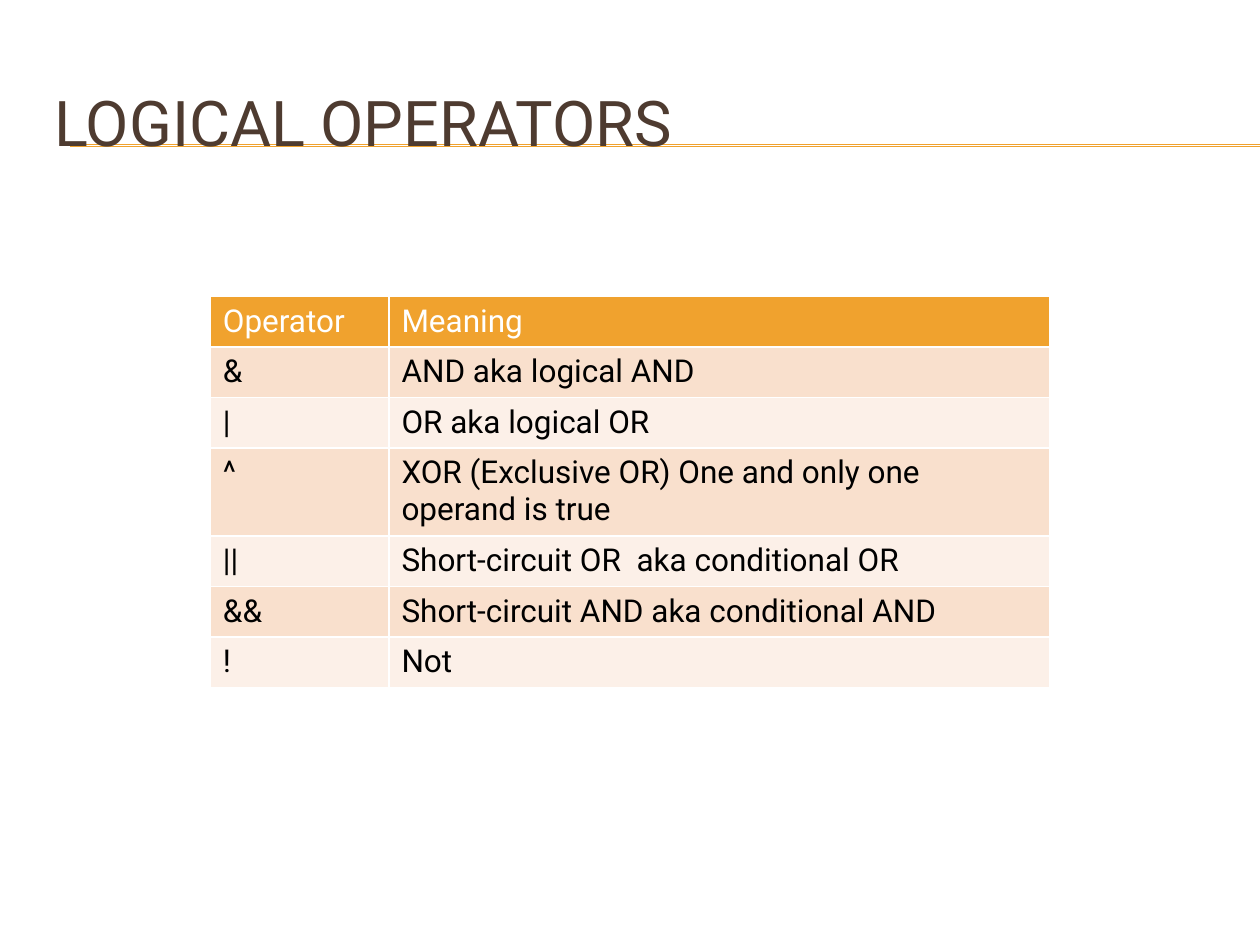
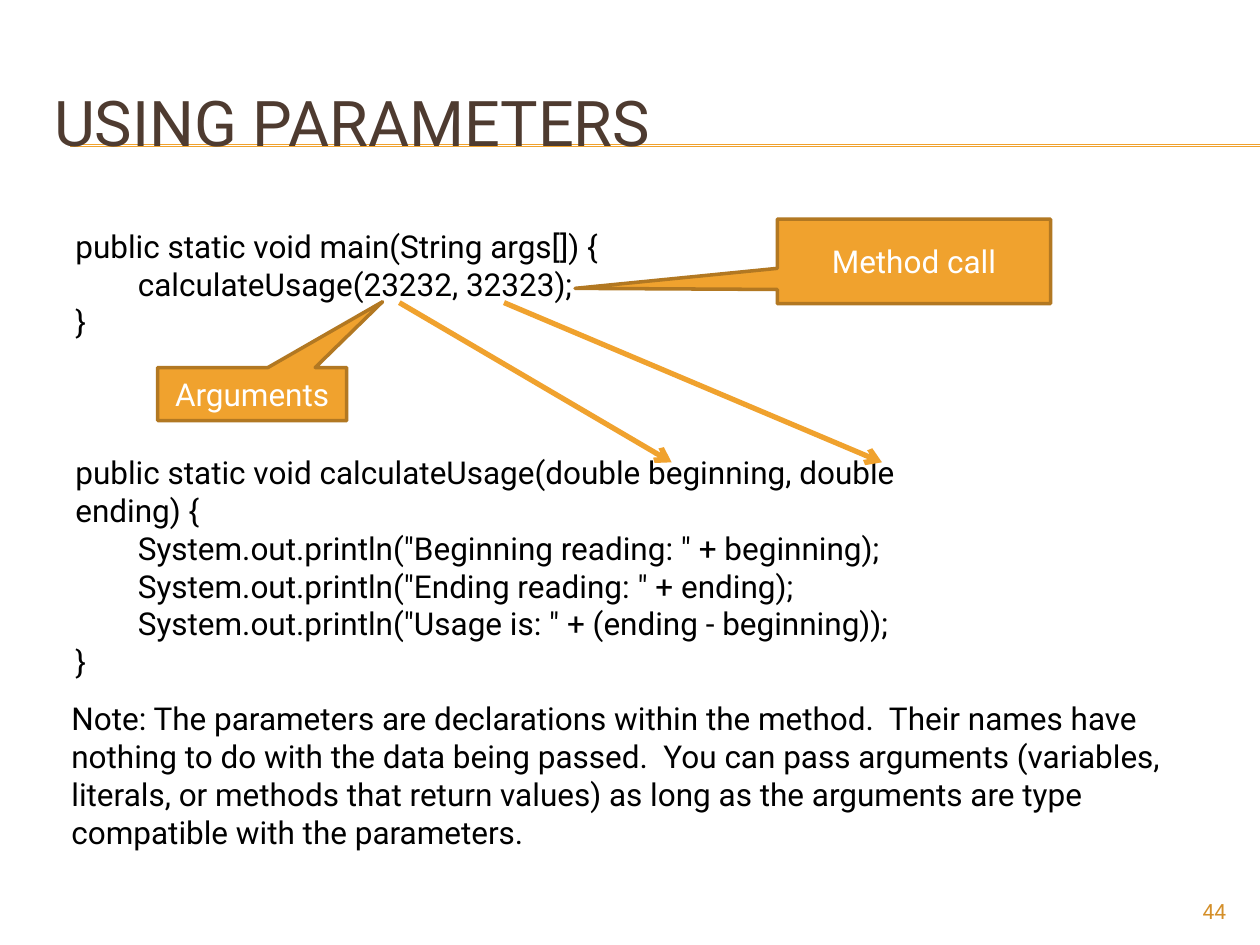
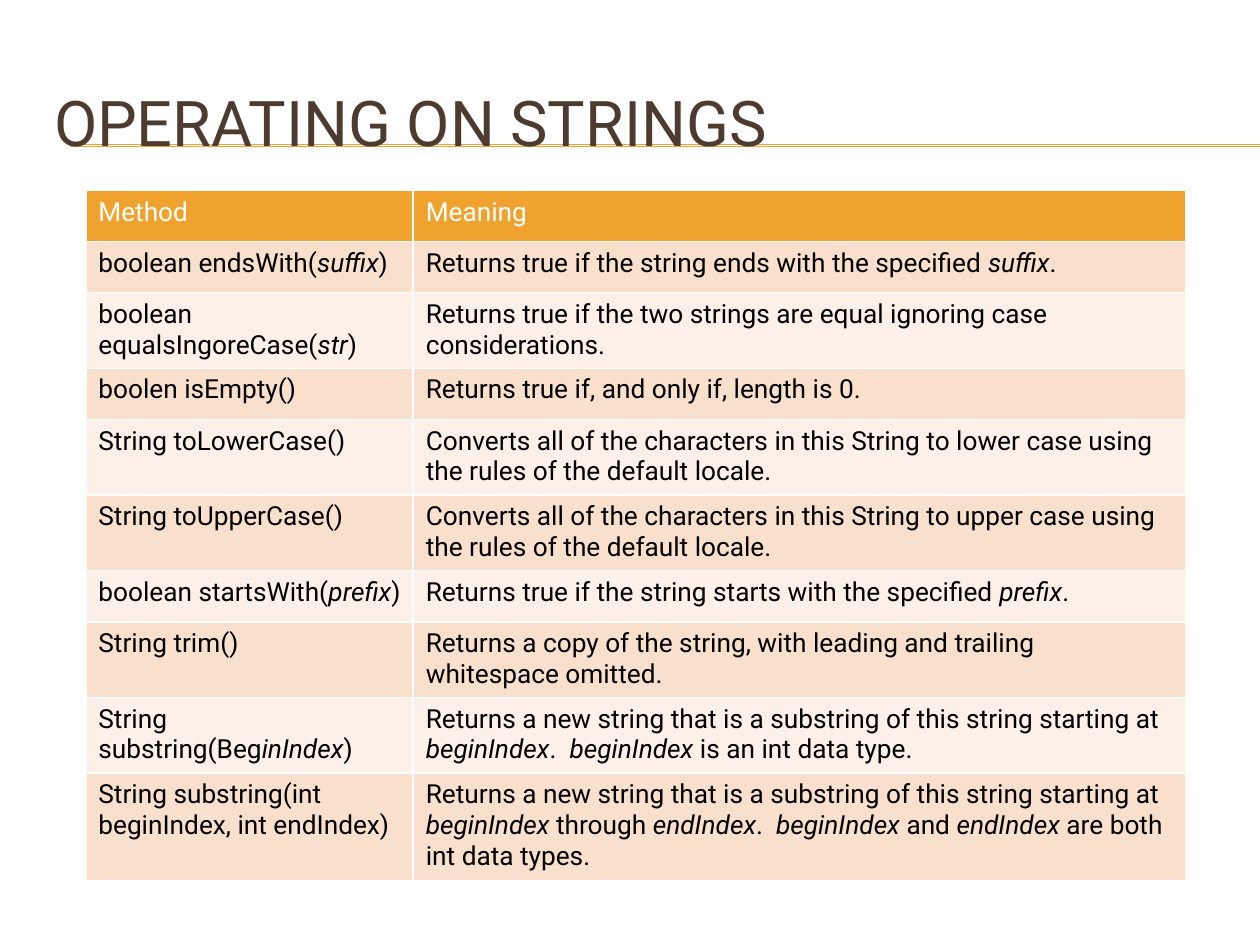
from dataclasses import dataclass

from lxml.etree import SubElement
from pptx import Presentation
from pptx.dml.color import RGBColor
from pptx.enum.shapes import MSO_CONNECTOR, MSO_SHAPE
from pptx.enum.text import MSO_ANCHOR, PP_ALIGN
from pptx.oxml.ns import qn
from pptx.util import Cm, Pt

# Text between asterisks is italic.
OPERATORS = [
    ("Operator", "Meaning"),
    ("&", "AND aka logical AND"),
    ("|", "OR aka logical OR"),
    ("^", "XOR (Exclusive OR) One and only one operand is true"),
    ("||", "Short-circuit OR  aka conditional OR"),
    ("&&", "Short-circuit AND aka conditional AND"),
    ("!", "Not"),
]
STRING_METHODS = [
    ("Method", "Meaning"),
    ("boolean endsWith(*suffix*)",
     "Returns true if the string ends with the specified *suffix*."),
    ("boolean equalsIngoreCase(*str*)",
     "Returns true if the two strings are equal ignoring case considerations."),
    ("boolen isEmpty()", "Returns true if, and only if, length is 0."),
    ("String toLowerCase()",
     "Converts all of the characters in this String to lower case using "
     "the rules of the default locale."),
    ("String toUpperCase()",
     "Converts all of the characters in this String to upper case using "
     "the rules of the default locale."),
    ("boolean startsWith(*prefix*)",
     "Returns true if the string starts with the specified *prefix*."),
    ("String trim()",
     "Returns a copy of the string, with leading and trailing whitespace omitted."),
    ("String substring(Beg*inIndex*)",
     "Returns a new string that is a substring of this string starting at "
     "*beginIndex*.  *beginIndex* is an int data type."),
    ("String substring(int beginIndex, int endIndex)",
     "Returns a new string that is a substring of this string starting at "
     "*beginIndex *through* endIndex*.  *beginIndex* and *endIndex* "
     "are both int data types."),
]

# Each code line: indent level, text.
MAIN_METHOD = [
    (0, "public static void main(String args[]) {"),
    (1, "calculateUsage(23232, 32323);"),
    (0, "}"),
]
USAGE_METHOD = [
    (0, "public static void calculateUsage(double beginning, double ending) {"),
    (1, 'System.out.println("Beginning reading: " + beginning);'),
    (1, 'System.out.println("Ending reading: " + ending);'),
    (1, 'System.out.println("Usage is: " + (ending - beginning));'),
    (0, "}"),
]
NOTE = (
    "Note: The parameters are declarations within the method.  Their names have "
    "nothing to do with the data being passed.  You can pass arguments (variables, "
    "literals, or methods that return values) as long as the arguments are type "
    "compatible with the parameters."
)
# Label, (left, top, width, height) in cm, pointer offset from the centre.
CALLOUTS = [
    ("Method call", (15.67, 4.42, 5.51, 1.7), (-1.24, 0.32)),
    ("Arguments", (3.18, 7.41, 3.81, 1.07), (0.69, -1.74)),
]
# From argument to parameter, in cm.
ARROWS = [((8.05, 6.1), (13.54, 9.32)), ((10.16, 6.1), (17.78, 9.32))]


@dataclass(frozen=True)
class Theme:
    font: str = "Roboto"
    accent: str = "F0A22E"
    accent_dark: str = "B27822"
    number: str = "D48F29"
    title: str = "4E3B30"
    text: str = "000000"
    white: str = "FFFFFF"
    bands: tuple = ("F9E0CD", "FCF0E8")
    title_size: int = 36
    body_size: int = 18
    table_size: int = 15
    number_size: int = 12


T = Theme()


def rgb(value):
    return RGBColor.from_string(value)


def set_font(font, size, color):
    font.name, font.size = T.font, Pt(size)
    font.color.rgb = rgb(color)


def add_text(s, box, text, size=T.body_size, color=T.text,
             align=PP_ALIGN.LEFT, anchor=MSO_ANCHOR.TOP):
    tf = s.shapes.add_textbox(*map(Cm, box)).text_frame
    tf.word_wrap = True
    tf.vertical_anchor = anchor
    p = tf.paragraphs[0]
    p.text, p.alignment = text, align
    set_font(p.font, size, color)


def add_line(s, start, end, width, arrow=False):
    line = s.shapes.add_connector(MSO_CONNECTOR.STRAIGHT, *map(Cm, start + end))
    line.line.color.rgb = rgb(T.accent)
    line.line.width = Pt(width)
    if arrow:
        SubElement(line.line._get_or_add_ln(), qn("a:tailEnd"), type="arrow")
    SubElement(line._element.spPr, qn("a:effectLst"))


def add_titled_slide(prs, title):
    s = prs.slides.add_slide(prs.slide_layouts[6])
    for y in (2.92, 2.95):
        add_line(s, (1.42, y), (25.4, y), 0.75)
    add_text(s, (0.84, 1.27, 24.13, 2.34), title, T.title_size, T.title,
             anchor=MSO_ANCHOR.MIDDLE)
    return s


def add_borders(cell):
    tc_pr = cell._tc.get_or_add_tcPr()
    for side in "LRTB":
        ln = SubElement(tc_pr, qn(f"a:ln{side}"), w=str(Pt(1)))
        fill = SubElement(ln, qn("a:solidFill"))
        SubElement(fill, qn("a:srgbClr"), val=T.white)


def add_grid(s, rows, left, top, widths, row_height, size):
    table = s.shapes.add_table(len(rows), len(widths), Cm(left), Cm(top),
                               Cm(sum(widths)), Cm(row_height * len(rows))).table
    for column, width in zip(table.columns, widths):
        column.width = Cm(width)
    for i, row in enumerate(rows):
        back = T.bands[(i - 1) % 2] if i else T.accent
        for j, text in enumerate(row):
            cell = table.cell(i, j)
            add_borders(cell)
            cell.fill.solid()
            cell.fill.fore_color.rgb = rgb(back)
            p = cell.text_frame.paragraphs[0]
            for k, part in enumerate(text.split("*")):
                r = p.add_run()
                r.text = part
                set_font(r.font, size, T.text if i else T.white)
                r.font.bold, r.font.italic = False, k % 2 == 1


def add_code(s, box, methods, gap):
    """Stack the methods in one text box, gap points apart."""
    tf = s.shapes.add_textbox(*map(Cm, box)).text_frame
    tf.word_wrap = True
    p = tf.paragraphs[0]
    for m, method in enumerate(methods):
        for n, (level, text) in enumerate(method):
            if m or n:
                p = tf.add_paragraph()
            p.text = text
            set_font(p.font, T.body_size, T.text)
            p._p.get_or_add_pPr().set("marL", str(Cm(1.26 * level)))
            if m and n == 0:
                p.space_before = Pt(gap)


def add_callout(s, label, box, pointer):
    sp = s.shapes.add_shape(MSO_SHAPE.RECTANGULAR_CALLOUT, *map(Cm, box))
    sp.adjustments[0], sp.adjustments[1] = pointer
    sp.shadow.inherit = False
    sp.fill.solid()
    sp.fill.fore_color.rgb = rgb(T.accent)
    sp.line.color.rgb = rgb(T.accent_dark)
    sp.line.width = Pt(2)
    tf = sp.text_frame
    tf.vertical_anchor = MSO_ANCHOR.MIDDLE
    p = tf.paragraphs[0]
    p.text, p.alignment = label, PP_ALIGN.CENTER
    set_font(p.font, T.body_size, T.white)


def main():
    prs = Presentation()
    prs.slide_width, prs.slide_height = Cm(25.4), Cm(19.05)

    s = add_titled_slide(prs, "LOGICAL OPERATORS")
    add_grid(s, OPERATORS, 4.24, 5.98, (3.6, 13.33), 0.92, T.body_size)

    s = add_titled_slide(prs, "USING PARAMETERS")
    add_text(s, (22.86, 17.98, 2.11, 0.69), "44", T.number_size, T.number,
             align=PP_ALIGN.RIGHT)
    add_code(s, (1.27, 4.45, 18.87, 8.71), (MAIN_METHOD, USAGE_METHOD), gap=64.5)
    for start, end in ARROWS:
        add_line(s, start, end, 3, arrow=True)
    add_text(s, (1.19, 13.97, 22.96, 3.33), NOTE)
    for callout in CALLOUTS:
        add_callout(s, *callout)

    s = add_titled_slide(prs, "OPERATING ON STRINGS")
    add_grid(s, STRING_METHODS, 1.73, 3.84, (6.6, 15.57), 1.03, T.table_size)

    prs.save("out.pptx")


if __name__ == "__main__":
    main()
